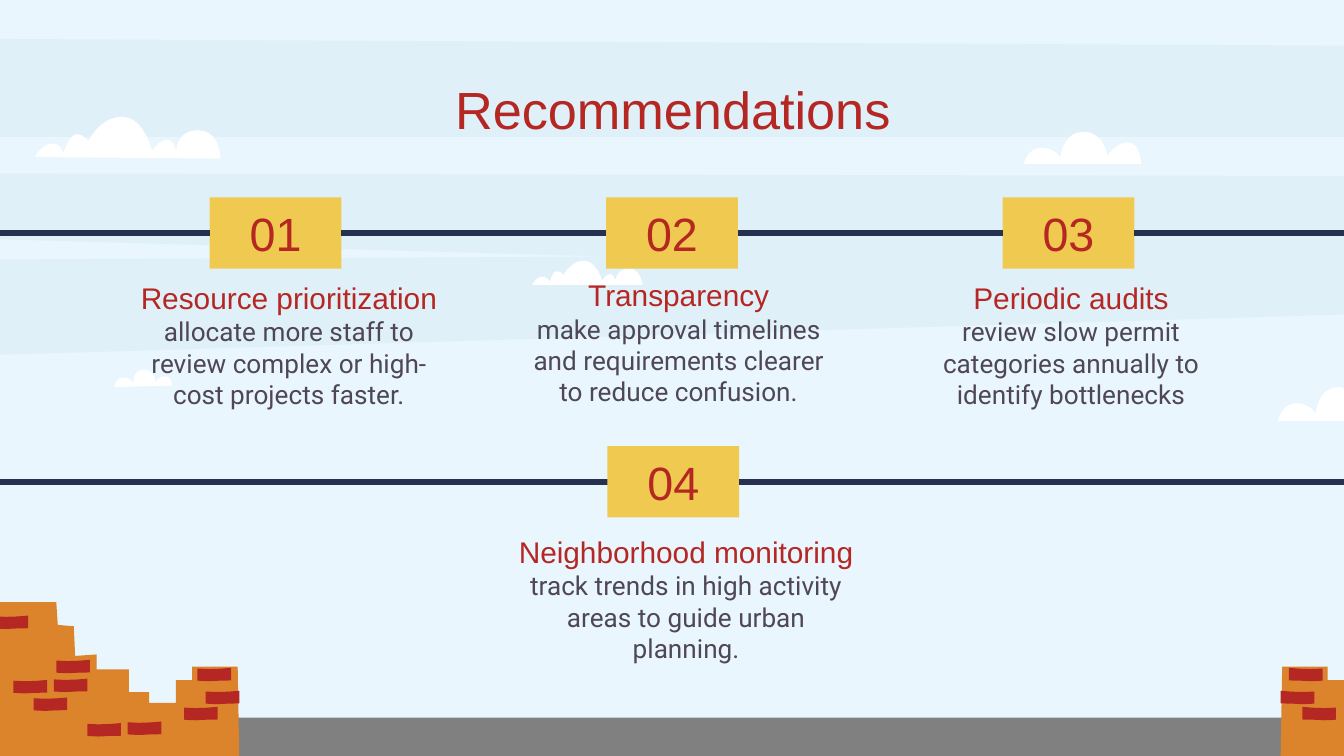
from lxml import etree
from pptx import Presentation
from pptx.dml.color import RGBColor
from pptx.enum.shapes import MSO_CONNECTOR as CONNECTOR, MSO_SHAPE as SHAPE
from pptx.enum.text import MSO_ANCHOR as ANCHOR, PP_ALIGN as ALIGN
from pptx.oxml.ns import qn
from pptx.util import Pt

SKY = RGBColor(0xE9, 0xF6, 0xFE)
BAND = RGBColor(0xB5, 0xD6, 0xE2)
WHITE = RGBColor(0xFF, 0xFF, 0xFF)
GROUND = RGBColor(0x80, 0x80, 0x80)
NAVY = RGBColor(0x26, 0x30, 0x4F)
RED = RGBColor(0xB5, 0x27, 0x22)
GRAY = RGBColor(0x4F, 0x47, 0x55)
YELLOW = RGBColor(0xF0, 0xCA, 0x50)
ORANGE = RGBColor(0xDB, 0x84, 0x2C)

TITLE = {"name": "Arial", "size": Pt(28)}
NUMBER = {"name": "Arial", "size": Pt(25)}
HEADING = {"name": "Arial", "size": Pt(16)}
BODY = {"name": "Roboto", "size": Pt(14)}

WIDTH, HEIGHT = 720, 405
BOX_W, BOX_H = 70.6, 38.2
FIRST_X, STEP_X = 112.3, 212.4
ROW_1, ROW_2 = 105.8, 239

BANDS = [
    [(0, 20.9), (0, 73.4), (720, 73.4), (720, 24.5)],
    [(0, 92.9), (0, 128.2), (327.6, 137.5), (0, 139), (0, 190.1),
     (720, 168.5), (720, 94.3)],
]

# Clouds: valleys (x, y) alternate with humps (left control x, peak x, right control x, peak y)
CLOUDS = [
    [(18.7, 84.2), (22.3, 28.1, 33.1, 77), (33.8, 82.1), (37.4, 41, 44.6, 72),
     (47.5, 75.6), (53.3, 65.5, 77, 62.6), (81.4, 80.6), (85.7, 89.3, 93.6, 74.9),
     (94.3, 81.4), (94.3, 105.8, 118.1, 69.8), (118.1, 85)],
    [(285.1, 152.6), (287.3, 290.2, 293.8, 148.3), (294.5, 151.2),
     (295.9, 298.1, 301, 145.4), (301.7, 147.6), (306, 312.5, 319.7, 139.7),
     (322.6, 150.5), (324.7, 326.9, 329, 146.9), (329.8, 150.5),
     (329.8, 337, 343.4, 144), (344.2, 152.6)],
    [(548.6, 87.8), (550.1, 558, 565.2, 79.2), (568.1, 84.2),
     (569.5, 580.3, 591.8, 70.6), (593.3, 83.5), (597.6, 604.1, 611.3, 76.3),
     (611.3, 87.8)],
    [(61.2, 207.4), (61.9, 66.2, 69.8, 202.3), (71.3, 205.2),
     (71.3, 77, 82.8, 198), (83.5, 204.5), (85, 88.6, 92.2, 201.6), (92.2, 206.6)],
    [(684.7, 225.4), (686.9, 694.1, 702, 216), (704.9, 221.8),
     (705.6, 717.1, 719.3, 207.4), (720, 208.1), (720, 720, 720, 225.4), (720, 225.4)],
]

# Brick wall, mirrored on the right side of the slide
WALL = [(-4.3, 322.6), (30.2, 322.6), (31, 334.8), (39.6, 335.5), (40.3, 351.4),
        (51.8, 350.6), (51.8, 358.6), (69.1, 358.6), (69.1, 370.8), (79.9, 370.8),
        (79.9, 376.6), (94.3, 376.6), (94.3, 364.3), (103, 364.3), (103, 357.1),
        (127.4, 357.1), (128.2, 405), (-2.9, 405)]
BRICK = [(18, 0), (18, 6.8), (12, 6.9), (6, 7.2), (0, 6.9), (0, 0.4), (6, 0.7), (12, 0.5)]
TOWER_BRICKS = [(105.8, 357.8), (98.6, 378.7), (110.2, 370.1)]
STEP_BRICKS = [(-2.9, 329.8), (18, 373.7), (28.8, 363.6), (7.2, 364.3),
               (68.4, 386.6), (46.8, 387.4), (30.2, 353.5)]
MIRROR = 814.3

# Left, top, width, heading, body, heading on its own paragraph
ITEMS = [
    (64.1, 165.6, 181.4, "Resource prioritization ",
     "allocate more staff to review complex or high-cost projects faster.", False),
    (272.9, 164.2, 181.4, "Transparency",
     "make approval timelines and requirements clearer to reduce confusion.", True),
    (483.1, 165.6, 181.4, "Periodic audits",
     "review slow permit categories annually to identify bottlenecks", True),
    (270, 301.7, 195.1, "Neighborhood monitoring",
     "track trends in high activity areas to guide urban planning.", True),
]


def paint(shape, color):
    shape.shadow.inherit = False
    shape.fill.solid()
    shape.fill.fore_color.rgb = color
    shape.line.fill.background()


def add_outline(shapes, points, color):
    start, *rest = [(Pt(x), Pt(y)) for x, y in points]
    builder = shapes.build_freeform(*start)
    builder.add_line_segments(rest)
    outline = builder.convert_to_shape()
    paint(outline, color)
    return outline


def add_band(shapes, points):
    band = add_outline(shapes, points, BAND)
    color = band.fill._xPr.find(qn("a:solidFill"))[0]
    etree.SubElement(color, qn("a:alpha"), val="17000")


def curve(a, b, c, d, steps=10):
    for t in (i / steps for i in range(1, steps + 1)):
        weights = (1 - t) ** 3, 3 * t * (1 - t) ** 2, 3 * t * t * (1 - t), t ** 3
        yield tuple(sum(w * p[axis] for w, p in zip(weights, (a, b, c, d)))
                    for axis in (0, 1))


def add_cloud(shapes, profile):
    points = [profile[0]]
    for left, hump, right in zip(profile[::2], profile[1::2], profile[2::2]):
        control_l, peak_x, control_r, top = hump
        peak = (peak_x, top)
        points += curve(left, left, (control_l, top), peak)
        points += curve(peak, (control_r, top), right, right)
    add_outline(shapes, points, WHITE)


def add_wall(shapes, bricks, mirrored=False):
    def place(points):
        return [(MIRROR - x if mirrored else x, y) for x, y in points]

    wall = shapes.add_group_shape().shapes
    add_outline(wall, place(WALL), ORANGE)
    for left, top in bricks:
        add_outline(wall, place((left + x, top + y) for x, y in BRICK), RED)


def add_rect(shapes, left, top, width, height, color):
    rect = shapes.add_shape(SHAPE.RECTANGLE, Pt(left), Pt(top), Pt(width), Pt(height))
    paint(rect, color)
    return rect


def add_line(shapes, x1, x2, y, after=None, before=None):
    line = shapes.add_connector(CONNECTOR.STRAIGHT, Pt(x1), Pt(y), Pt(x2), Pt(y))
    if after is not None:
        line.begin_connect(after, 3)
    if before is not None:
        line.end_connect(before, 1)
    line.line.color.rgb = NAVY
    line.line.width = Pt(3)
    etree.SubElement(line._element.spPr, qn("a:effectLst"))


def set_frame(shape):
    frame = shape.text_frame
    settings = {"word_wrap": True, "vertical_anchor": ANCHOR.MIDDLE}
    settings |= {f"margin_{side}": Pt(7.2) for side in ("left", "top", "right", "bottom")}
    for name, value in settings.items():
        setattr(frame, name, value)
    return frame


def add_run(paragraph, text, style, color):
    paragraph.alignment = ALIGN.CENTER
    run = paragraph.add_run()
    run.text = text
    for name, value in style.items():
        setattr(run.font, name, value)
    run.font.color.rgb = color


def add_text(shapes, left, top, width, height):
    return set_frame(shapes.add_textbox(Pt(left), Pt(top), Pt(width), Pt(height)))


def add_number(shapes, left, top, number):
    box = add_rect(shapes, left, top, BOX_W, BOX_H, YELLOW)
    add_run(set_frame(box).paragraphs[0], f"{number:02}", NUMBER, RED)
    return box


def add_item(shapes, left, top, width, heading, body, split):
    frame = add_text(shapes, left, top, width, BOX_H)
    first = frame.paragraphs[0]
    add_run(first, heading, HEADING, RED)
    add_run(frame.add_paragraph() if split else first, body, BODY, GRAY)


def main():
    prs = Presentation()
    prs.slide_width, prs.slide_height = Pt(WIDTH), Pt(HEIGHT)
    slide = prs.slides.add_slide(prs.slide_layouts[6])
    slide.background.fill.solid()
    slide.background.fill.fore_color.rgb = SKY
    shapes = slide.shapes

    # Scenery
    for band in BANDS:
        add_band(shapes, band)
    for cloud in CLOUDS:
        add_cloud(shapes, cloud)
    add_rect(shapes, 0, 384.5, WIDTH, 20.5, GROUND)

    # Title and recommendations
    title = add_text(shapes, 56.9, 35.3, 607, 45.4)
    add_run(title.paragraphs[0], "Recommendations", TITLE, RED)
    for item in ITEMS:
        add_item(shapes, *item)

    # Upper timeline
    boxes = [add_number(shapes, FIRST_X + i * STEP_X, ROW_1, i + 1) for i in range(3)]
    for after, before in zip([None, *boxes], [*boxes, None]):
        add_line(shapes, 0, WIDTH, ROW_1 + BOX_H / 2, after, before)

    # Lower timeline, with its middle stretch passing behind the number
    middle = ROW_2 + BOX_H / 2
    add_line(shapes, 0, FIRST_X, middle)
    add_line(shapes, FIRST_X, 395.3, middle)
    last_box = add_number(shapes, 325.4, ROW_2, 4)
    add_line(shapes, 0, WIDTH, middle, after=last_box)

    # Brick walls
    add_wall(shapes, TOWER_BRICKS + STEP_BRICKS)
    add_wall(shapes, TOWER_BRICKS, mirrored=True)

    prs.save("out.pptx")


if __name__ == "__main__":
    main()
